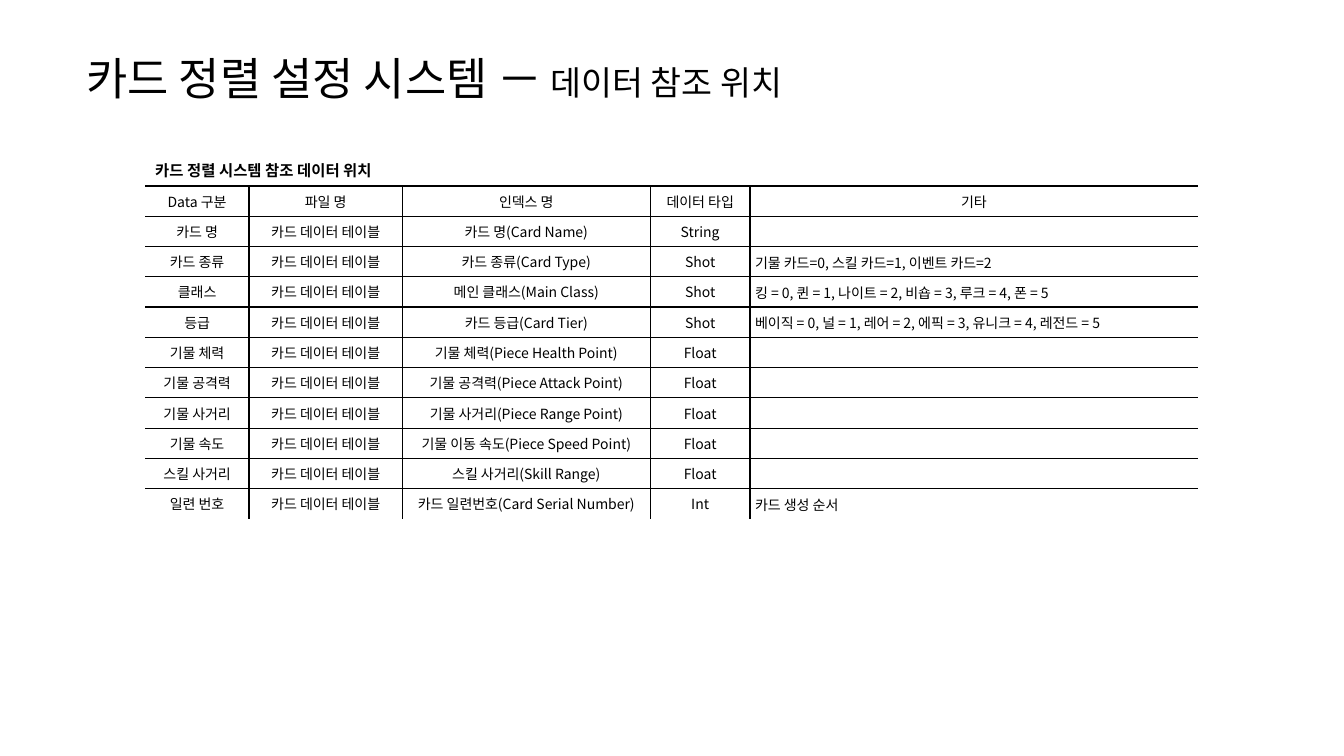
"""Build the slide that lists where the card sorting system finds its data."""
from typing import NamedTuple

from lxml import etree
from pptx import Presentation
from pptx import util as u
from pptx.dml.color import RGBColor
from pptx.enum import text
from pptx.oxml import ns

WIDE, HIGH = u.Inches(13.33), u.Inches(7.5)
HUES = {"ink": "000000"}
FACE = "Noto Sans CJK KR"
COLS = [1.03, 1.52, 2.46, 0.99, 4.44]
CAP, ROW = 0.32, 0.3
LINE = u.Pt(1)
MID = {"vertical_anchor": text.MSO_ANCHOR.MIDDLE}
NOTE = MID | {
    "margin_left": u.Inches(0.05),
    "margin_right": u.Inches(0.01),
    "margin_top": u.Inches(0.01),
    "margin_bottom": 0,
}
SOURCE = "카드 데이터 테이블"


class Box(NamedTuple):
    """A frame in shares of the slide's size."""

    left: float
    top: float
    width: float
    height: float

    def size(self) -> tuple:
        """Give the frame in slide units."""
        return (round(self.left * WIDE), round(self.top * HIGH),
                round(self.width * WIDE), round(self.height * HIGH))


class Field(NamedTuple):
    """One row of the table."""

    name: str
    index: str
    kind: str
    note: str = ""
    file: str = SOURCE

    def cells(self) -> list[str]:
        """Give the texts in column order."""
        return [self.name, self.file, self.index, self.kind, self.note]


HEAD = Box(0.057, 0.056, 0.886, 0.092)
GRID = Box(0.108, 0.203, 0.783, 0.483)
TITLE = [("카드 정렬 설정 시스템 －", 32), (" 데이터 참조 위치", 24)]
CAPTION = "카드 정렬 시스템 참조 데이터 위치"
FIELDS = [
    Field("Data 구분", "인덱스 명", "데이터 타입", "기타", "파일 명"),
    Field("카드 명", "카드 명(Card Name)", "String"),
    Field("카드 종류", "카드 종류(Card Type)", "Shot",
          "기물 카드=0, 스킬 카드=1, 이벤트 카드=2"),
    Field("클래스", "메인 클래스(Main Class)", "Shot",
          "킹 = 0, 퀸 = 1, 나이트 = 2, 비숍 = 3, 루크 = 4, 폰 = 5"),
    Field("등급", "카드 등급(Card Tier)", "Shot",
          "베이직 = 0, 널 = 1, 레어 = 2, 에픽 = 3, 유니크 = 4, 레전드 = 5"),
    Field("기물 체력", "기물 체력(Piece Health Point)", "Float"),
    Field("기물 공격력", "기물 공격력(Piece Attack Point)", "Float"),
    Field("기물 사거리", "기물 사거리(Piece Range Point)", "Float"),
    Field("기물 속도", "기물 이동 속도(Piece Speed Point)", "Float"),
    Field("스킬 사거리", "스킬 사거리(Skill Range)", "Float"),
    Field("일련 번호", "카드 일련번호(Card Serial Number)", "Int", "카드 생성 순서"),
]


def apply(item, form: dict) -> None:
    """Set each format value on an item."""
    for key, val in form.items():
        setattr(item, key, val)


def write(para, words: str, size: int, bold: bool = False) -> None:
    """Add a run of text, or size an empty paragraph."""
    if not words:
        para._p.get_or_add_endParaRPr().set("sz", str(size * 100))
        return
    run = para.add_run()
    run.text = words
    apply(run.font, {"size": u.Pt(size), "bold": bold, "name": FACE})
    run.font.color.rgb = RGBColor.from_string(HUES["ink"])
    etree.SubElement(run.font._element, ns.qn("a:ea"), typeface=FACE)


def rule(cell, sides: dict[str, bool]) -> None:
    """Draw or clear the borders of a cell."""
    props = cell._tc.get_or_add_tcPr()
    for side, shown in sides.items():
        line = etree.SubElement(props, ns.qn(f"a:ln{side}"), w=str(LINE))
        fill = etree.SubElement(line, ns.qn("a:solidFill" if shown else "a:noFill"))
        if shown:
            etree.SubElement(fill, ns.qn("a:srgbClr"), val=HUES["ink"])
    cell.fill.background()


def title(slide) -> None:
    """Write the slide's heading."""
    frame = slide.shapes.add_textbox(*HEAD.size()).text_frame
    apply(frame, MID | {"word_wrap": True})
    for words, size in TITLE:
        write(frame.paragraphs[0], words, size)


def table(slide) -> None:
    """Draw the caption row and the rows of fields."""
    last, end = len(FIELDS), len(COLS) - 1
    grid = slide.shapes.add_table(last + 1, end + 1, *GRID.size()).table
    apply(grid, {"first_row": False, "horz_banding": False})
    for col, width in zip(grid.columns, COLS):
        col.width = u.Inches(width)
    for i, row in enumerate(grid.rows):
        row.height = u.Inches(ROW if i else CAP)
        for j, cell in enumerate(row.cells):
            rule(cell, {"L": i > 0 and j > 0, "R": i > 0 and j < end,
                        "T": i > 0, "B": i < last})
    grid.cell(0, 0).merge(grid.cell(0, end))
    write(grid.cell(0, 0).text_frame.paragraphs[0], CAPTION, 11, True)
    for i, field in enumerate(FIELDS, 1):
        for j, words in enumerate(field.cells()):
            cell = grid.cell(i, j)
            para = cell.text_frame.paragraphs[0]
            mid = j < end or i == 1
            apply(cell, MID if mid else NOTE)
            para.alignment = text.PP_ALIGN.CENTER if mid else text.PP_ALIGN.LEFT
            write(para, words, 10)


def main() -> None:
    """Build and save the deck."""
    deck = Presentation()
    apply(deck, {"slide_width": WIDE, "slide_height": HIGH})
    slide = deck.slides.add_slide(deck.slide_layouts[6])
    table(slide)
    title(slide)
    deck.save("out.pptx")


if __name__ == "__main__":
    main()
